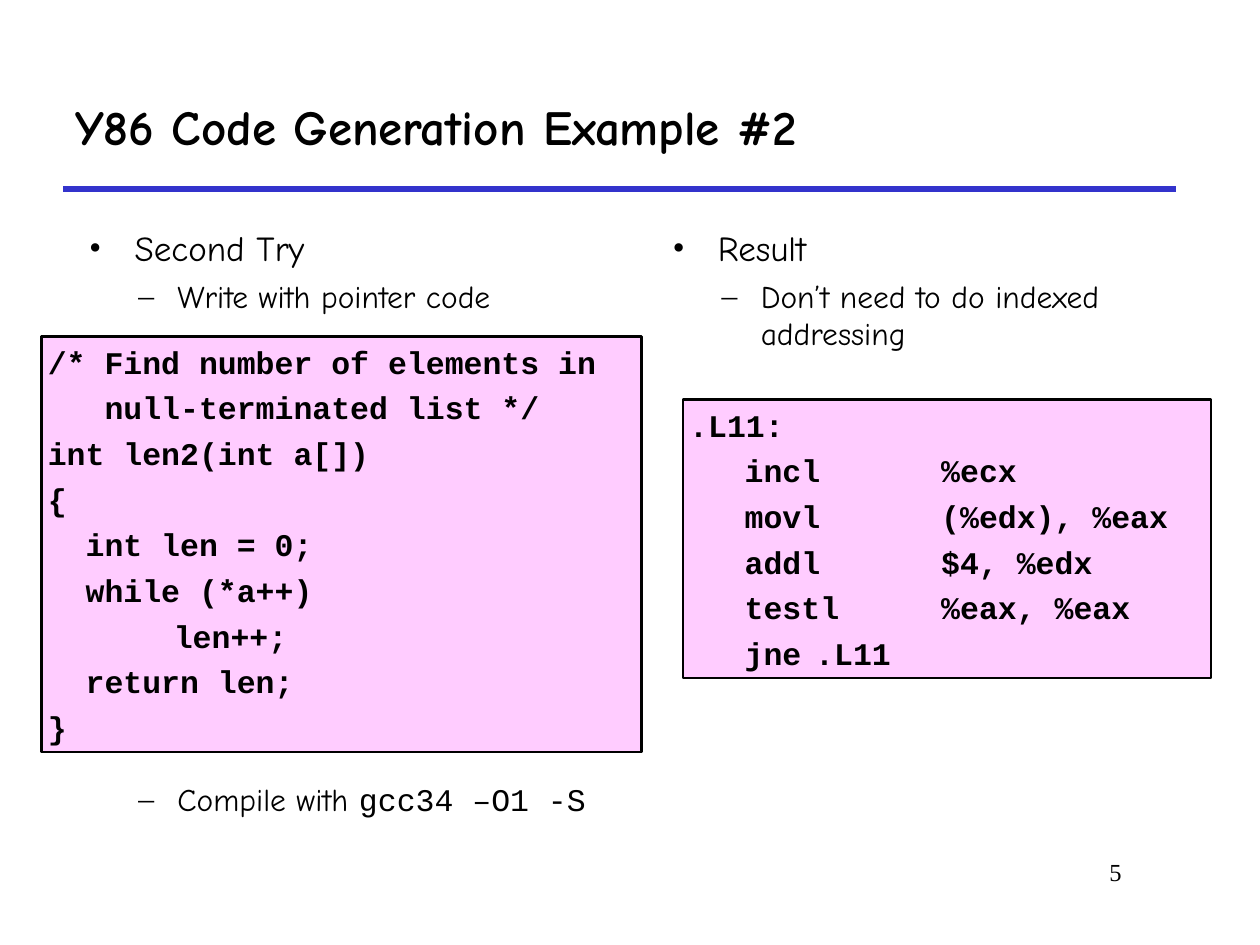
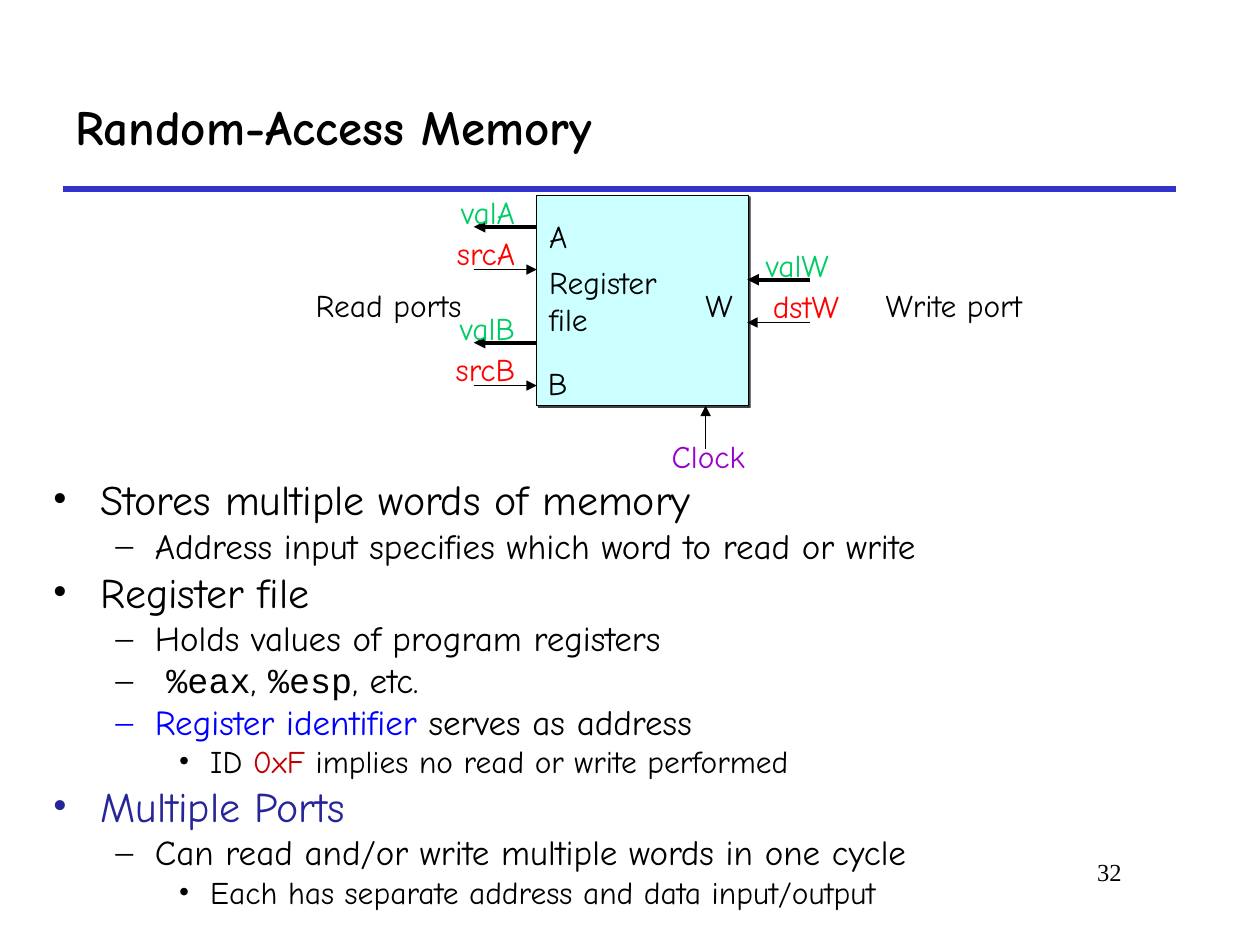
from lxml.etree import SubElement as Sub
from pptx import Presentation
from pptx.dml.color import RGBColor as RGB
from pptx.enum.shapes import MSO_CONNECTOR as Link, MSO_SHAPE as Kind
from pptx.enum.text import MSO_ANCHOR as Anchor, PP_ALIGN as Align
from pptx.oxml.ns import qn
from pptx.util import Inches, Pt

HUES = {
    "ink": "000000", "rule": "3333CC", "code": "FFCCFF", "file": "CCFFFF",
    "data": "00CC66", "addr": "FF0000", "clock": "9900CC",
    "term": "0000FF", "hex": "C00000", "ports": "262699",
}
SANS, MONO, SERIF = "Comic Neue", "Courier New", "Times New Roman"
MARKS = "•–•"
GAP = 4.5
FIND = """/* Find number of elements in
   null-terminated list */
int len2(int a[])
{
  int len = 0;
  while (*a++)
\tlen++;
  return len;
}"""
LOOP = """.L11:
\tincl\t%ecx
\tmovl\t(%edx), %eax
\taddl\t$4, %edx
\ttestl\t%eax, %eax
\tjne\t.L11"""


def tint(hue):
    """Return the named colour."""
    return RGB.from_string(HUES[hue])


def style(font, size, hue="ink", name=SANS, bold=False):
    """Format one font."""
    font.size, font.name, font.bold = Pt(size), name, bold
    font.color.rgb = tint(hue)


def fit(shape, pads=(0.1, 0.05, 0.1, 0.05), wrap=True, anchor=Anchor.TOP):
    """Set margins, wrapping and anchor of a shape's text."""
    frame = shape.text_frame
    frame.margin_left, frame.margin_top, frame.margin_right, frame.margin_bottom = map(Inches, pads)
    frame.word_wrap, frame.vertical_anchor = wrap, anchor
    return frame


def fill(frame, text, size, hue="ink", name=SANS, bold=False, align=Align.LEFT):
    """Write text in a single style."""
    frame.text = text
    for para in frame.paragraphs:
        para.alignment = align
        for run in para.runs:
            style(run.font, size, hue, name, bold)


def label(slide, at, text, size=18, hue="ink", name=SANS, bold=False,
          align=Align.LEFT, wrap=True, anchor=Anchor.TOP, pads=(0.1, 0.05, 0.1, 0.05)):
    """Add a text box."""
    box = slide.shapes.add_textbox(*map(Inches, at))
    fill(fit(box, pads, wrap, anchor), text, size, hue, name, bold, align)


def shape(slide, kind, at, hue=None, width=0.75):
    """Add a filled and outlined shape, or a bare one without a hue."""
    item = slide.shapes.add_shape(kind, *map(Inches, at))
    item.shadow.inherit = False
    if hue:
        item.fill.solid()
        item.fill.fore_color.rgb = tint(hue)
        item.line.color.rgb = tint("ink")
        item.line.width = Pt(width)
    else:
        item.fill.background()
        item.line.fill.background()
    return item


def line(slide, start, end, width, hue="ink", arrow=True):
    """Draw a straight line, with an arrowhead if asked."""
    item = slide.shapes.add_connector(Link.STRAIGHT, *map(Inches, start + end))
    item.line.width = Pt(width)
    item.line.color.rgb = tint(hue)
    props = item._element.spPr
    if arrow:
        Sub(props.find(qn("a:ln")), qn("a:tailEnd"), type="triangle")
    Sub(props, qn("a:effectLst"))


def mark(para, level, hue, indent):
    """Give a paragraph its bullet and hanging indent."""
    left, hang = indent
    props = para._p.get_or_add_pPr()
    props.set("marL", str(Inches(left)))
    props.set("indent", str(-Inches(hang)))
    Sub(Sub(props, qn("a:buClr")), qn("a:srgbClr"), val=HUES[hue])
    Sub(props, qn("a:buFont"), typeface=SERIF)
    Sub(props, qn("a:buChar"), char=MARKS[level])


def outline(slide, at, items, sizes, indents):
    """Add bullets; an item is level, space before and runs."""
    frame = fit(slide.shapes.add_textbox(*map(Inches, at)))
    for index, (level, gap, *parts) in enumerate(items):
        para = frame.add_paragraph() if index else frame.paragraphs[0]
        parts = [(part, "ink", SANS) if isinstance(part, str) else part for part in parts]
        mark(para, level, parts[0][1], indents[level])
        para.level = level
        para.space_before = Pt(gap)
        for text, hue, name in parts:
            run = para.add_run()
            run.text = text
            style(run.font, sizes[level], hue, name)


def code(slide, at, text, stops):
    """Add a panel of code with tab stops."""
    frame = fit(shape(slide, Kind.RECTANGLE, at, "code", 1.5), (0.05,) * 4)
    fill(frame, text, 18, name=MONO, bold=True)
    for index, para in enumerate(frame.paragraphs):
        para.space_before = Pt(GAP if index else 0)
        tabs = Sub(para._p.get_or_add_pPr(), qn("a:tabLst"))
        for stop in stops:
            Sub(tabs, qn("a:tab"), pos=str(Inches(stop)), algn="l")


def page(deck, title, number):
    """Add a slide with title, rule and page number."""
    slide = deck.slides.add_slide(deck.slide_layouts[6])
    line(slide, (0.5, 1.5), (9.33, 1.5), 3, "rule", False)
    label(slide, (0.5, 0.5, 8.83, 1), title, 28, bold=True, anchor=Anchor.MIDDLE)
    label(slide, (7.58, 6.75, 1.42, 0.5), str(number), 14, name=SERIF, align=Align.RIGHT)
    return slide


def port(slide, text, hue, spot, start, end, width):
    """Add a signal arrow with its name."""
    line(slide, start, end, width)
    tag = shape(slide, Kind.OVAL, (*spot, 0.5, 0.42))
    fill(fit(tag, wrap=False, anchor=Anchor.MIDDLE), text, 18, hue, align=Align.RIGHT)


def store(slide):
    """Draw the register file with its ports."""
    left, right, far = 4.26, 5.93, 3.76
    box = shape(slide, Kind.RECTANGLE, (left, 1.55, 1.68, 1.67), "file")
    fill(fit(box, wrap=False, anchor=Anchor.MIDDLE), "Register\nfile", 18)
    cast = Sub(box._element.spPr.find(qn("a:effectLst")), qn("a:outerShdw"),
               dist=str(Pt(1.4)), dir="2700000", algn="ctr", rotWithShape="0")
    Sub(Sub(cast, qn("a:srgbClr"), val=HUES["ink"]), qn("a:alpha"), val="75000")
    for text, x, y in (("A", left, 1.67), ("B", 4.25, 2.84), ("W", 5.5, 2.22)):
        label(slide, (x, y, 0.33, 0.41), text)
    for name, top in (("A", 1.8), ("B", 2.72)):
        low = top + 0.34
        port(slide, "val" + name, "data", (far, top - 0.33), (left, top), (far, top), 2.25)
        port(slide, "src" + name, "addr", (far, low - 0.34), (far, low), (left, low), 1)
    port(slide, "valW", "data", (6.25, 1.89), (6.43, 2.22), (right, 2.22), 2.25)
    port(slide, "dstW", "addr", (6.33, 2.22), (6.43, 2.56), (right, 2.56), 1)
    label(slide, (1.92, 2.22, 1.84, 0.41), "Read ports", align=Align.RIGHT)
    label(slide, (6.93, 2.22, 1.3, 0.41), "Write port", wrap=False)
    line(slide, (5.6, 3.56), (5.6, 3.22), 1)
    label(slide, (5.28, 3.42, 0.69, 0.41), "Clock", hue="clock", wrap=False, pads=(0.05,) * 4)


def pointer(deck):
    """Build the code generation slide."""
    slide = page(deck, "Y86 Code Generation Example #2", 5)
    sizes, indents = (20, 18), ((0.47, 0.36), (0.81, 0.31))
    outline(slide, (0.5, 1.75, 4.46, 4.83), (
        (0, 0, "Second Try"),
        (1, GAP, "Write with pointer code"),
        (1, 266, "Compile with ", ("gcc34 –O1 -S", "ink", MONO)),
    ), sizes, indents)
    outline(slide, (5.13, 1.75, 4.46, 4.83), (
        (0, 0, "Result"),
        (1, GAP, "Don’t need to do indexed addressing"),
    ), sizes, indents)
    code(slide, (0.33, 2.67, 4.76, 3.3), FIND, (1,))
    code(slide, (5.42, 3.17, 4.19, 2.21), LOOP, (0.44, 1, 2))


def memory(deck):
    """Build the random-access memory slide."""
    slide = page(deck, "Random-Access Memory", 32)
    outline(slide, (0.32, 3.71, 9.08, 3.63), (
        (0, 0, "Stores multiple words of memory"),
        (1, 0, "Address input specifies which word to read or write"),
        (0, 0, "Register file"),
        (1, 0, "Holds values of program registers"),
        (1, 0, " ", ("%eax", "ink", MONO), ", ", ("%esp", "ink", MONO), ", etc."),
        (1, 0, ("Register identifier ", "term", SANS), "serves as address"),
        (2, 0, "ID ", ("0xF", "hex", SANS), " implies no read or write performed"),
        (0, 0, ("Multiple Ports", "ports", SANS)),
        (1, 0, "Can read and/or write multiple words in one cycle"),
        (2, 0, "Each has separate address and data input/output"),
    ), (24, 20, 18), ((0.38, 0.38), (0.81, 0.31), (1.25, 0.25)))
    store(slide)


def main():
    """Build and save the deck."""
    deck = Presentation()
    deck.slide_width, deck.slide_height = Inches(10), Inches(7.5)
    pointer(deck)
    memory(deck)
    deck.save("out.pptx")


if __name__ == "__main__":
    main()
